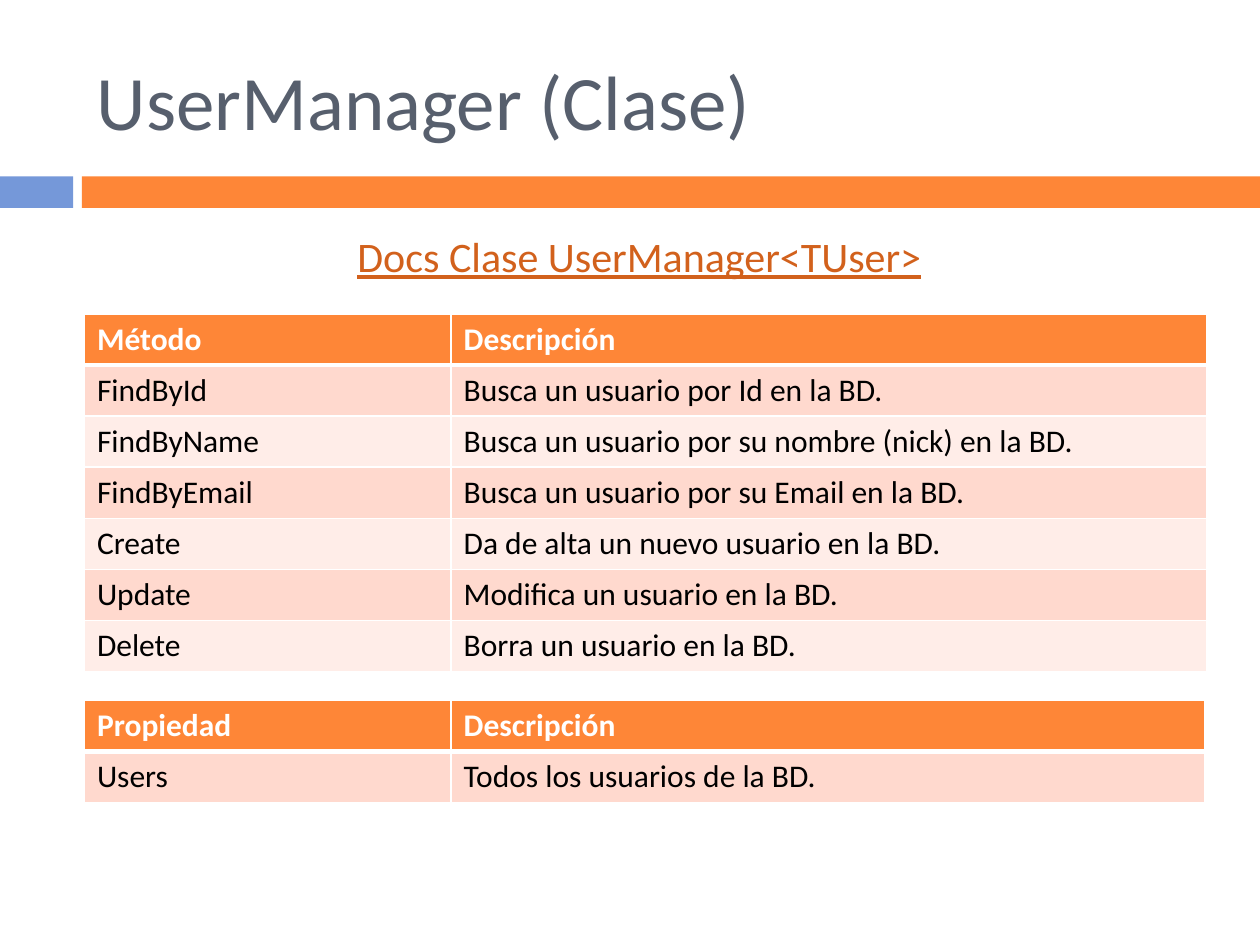
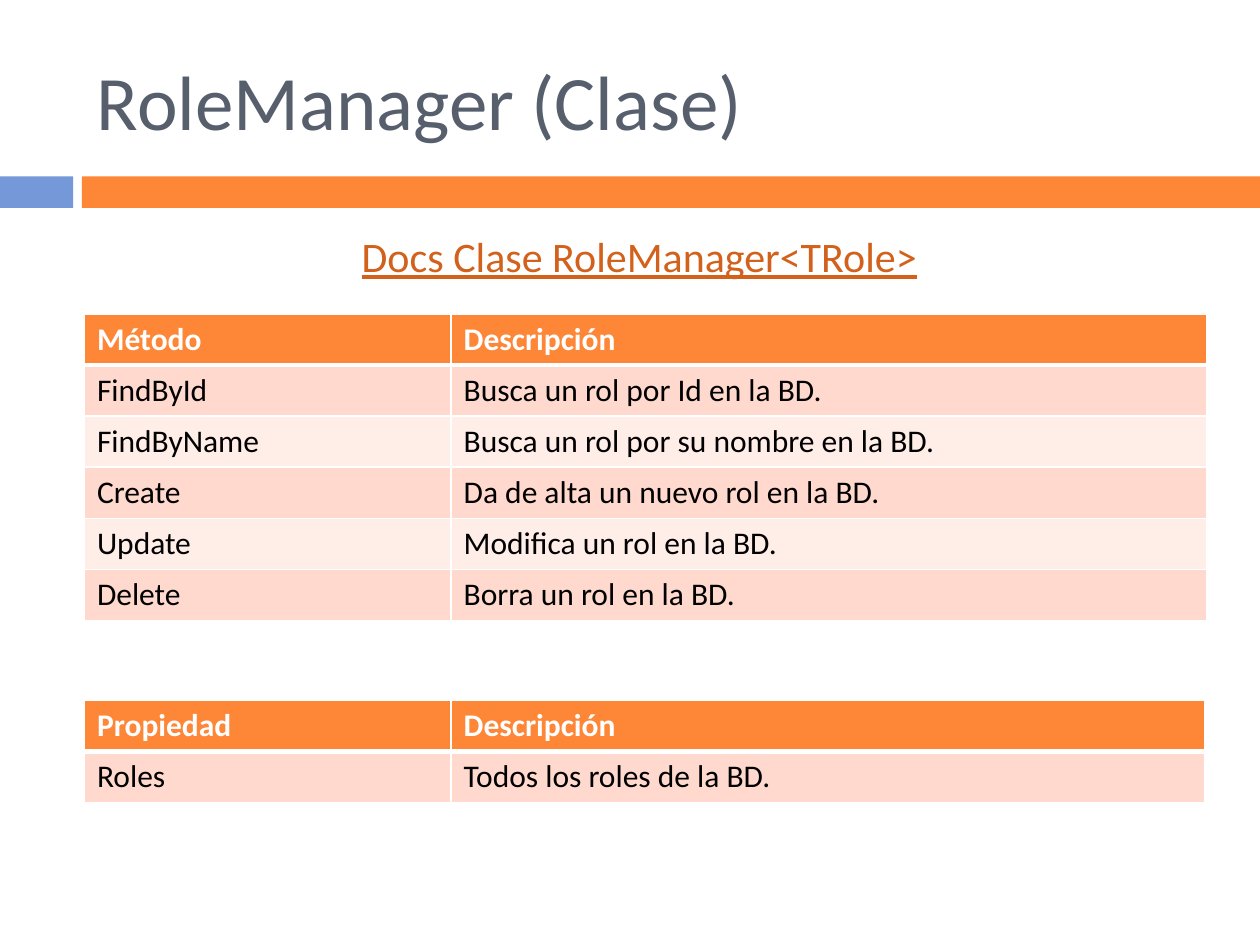
from lxml import etree
from pptx import Presentation
from pptx.dml.color import RGBColor
from pptx.enum.shapes import MSO_SHAPE
from pptx.enum.text import MSO_ANCHOR, PP_ALIGN
from pptx.oxml.ns import qn
from pptx.util import Inches, Pt

RECTANGLE = MSO_SHAPE.RECTANGLE
TOP, MIDDLE = MSO_ANCHOR.TOP, MSO_ANCHOR.MIDDLE
LEFT, CENTER = PP_ALIGN.LEFT, PP_ALIGN.CENTER

ORANGE = RGBColor(0xFE, 0x86, 0x37)
BLUE = RGBColor(0x75, 0x98, 0xD9)
SLATE = RGBColor(0x57, 0x5F, 0x6D)
RUST = RGBColor(0xD2, 0x61, 0x1C)
PEACH = RGBColor(0xFF, 0xD9, 0xCE)
BLUSH = RGBColor(0xFF, 0xED, 0xE8)
WHITE = RGBColor(0xFF, 0xFF, 0xFF)
BLACK = RGBColor(0x00, 0x00, 0x00)

FONT = "Calibri"
COLUMNS, ROWS = 100, 75
MARGIN = 6.7
NAME_WIDTH = 29.1
TABLE_ROW = 4.06


class Deck:
    """Holds the shared style and the slide being built."""

    def __init__(self):
        """Start an empty 4:3 presentation."""
        self.prs = Presentation()
        self.prs.slide_width, self.prs.slide_height = Inches(10), Inches(7.5)
        self.s = None

    def x(self, columns):
        """Turn grid columns into a length."""
        return round(self.prs.slide_width * columns / COLUMNS)

    def y(self, rows):
        """Turn grid rows into a length."""
        return round(self.prs.slide_height * rows / ROWS)

    def frame(self, left, top, width, height):
        """Turn a grid rectangle into slide lengths."""
        return self.x(left), self.y(top), self.x(width), self.y(height)

    def style(self, p, size, color, bold=False, underline=False):
        """Set the font of a paragraph."""
        p.font.name, p.font.size = FONT, Pt(size)
        p.font.bold, p.font.underline = bold, underline
        p.font.color.rgb = color

    def band(self, left, width, color):
        """Draw one part of the band under the title."""
        sp = self.s.shapes.add_shape(RECTANGLE, *self.frame(left, 14, width, 2.5))
        sp.shadow.inherit = False
        sp.fill.solid()
        sp.fill.fore_color.rgb = color
        sp.line.fill.background()

    def text(self, text, box, size, color, anchor=TOP, align=LEFT, underline=False):
        """Add a one-paragraph text box."""
        tf = self.s.shapes.add_textbox(*self.frame(*box)).text_frame
        tf.word_wrap = True
        tf.vertical_anchor = anchor
        p = tf.paragraphs[0]
        p.text, p.alignment = text, align
        self.style(p, size, color, underline=underline)

    def slide(self, title, heading):
        """Start a slide with its band, title and underlined heading."""
        self.s = self.prs.slides.add_slide(self.prs.slide_layouts[6])
        self.band(0, 5.8, BLUE)
        self.band(6.5, COLUMNS - 6.5, ORANGE)
        self.text(title, (MARGIN, 2.5, 89.2, 10.8), 44, SLATE, anchor=MIDDLE)
        self.text(heading, (5.1, 17.8, 91.3, 8.1), 24, RUST, align=CENTER,
                  underline=True)

    def borders(self, cell, top, bottom):
        """Give a cell white borders; top and bottom are widths in points."""
        tc_pr = cell._tc.get_or_add_tcPr()
        for side, width in (("L", 1), ("R", 1), ("T", top), ("B", bottom)):
            ln = etree.SubElement(tc_pr, qn(f"a:ln{side}"), w=str(Pt(width)))
            fill = etree.SubElement(ln, qn("a:solidFill"))
            etree.SubElement(fill, qn("a:srgbClr"), val=str(WHITE))

    def table(self, top, width, label, entries):
        """Add a two-column table with a header and striped rows."""
        rows = [(label, "Descripción"), *entries]
        box = self.frame(MARGIN, top, width, TABLE_ROW * len(rows))
        table = self.s.shapes.add_table(len(rows), 2, *box).table
        table.columns[0].width = self.x(NAME_WIDTH)
        table.columns[1].width = self.x(width - NAME_WIDTH)
        for i, row in enumerate(rows):
            table.rows[i].height = self.y(TABLE_ROW)
            header = i == 0
            fill = ORANGE if header else PEACH if i % 2 else BLUSH
            for j, value in enumerate(row):
                cell = table.cell(i, j)
                self.borders(cell, 3 if i == 1 else 1, 3 if header else 1)
                cell.fill.solid()
                cell.fill.fore_color.rgb = fill
                p = cell.text_frame.paragraphs[0]
                p.text = value
                self.style(p, 18, WHITE if header else BLACK, bold=header)

    def manager(self, name, type_name, methods, prop):
        """Build the slide of one manager class."""
        self.slide(f"{name} (Clase)", f"Docs Clase {name}<{type_name}>")
        self.table(24.9, 89.1, "Método", methods)
        self.table(55.6, 88.9, "Propiedad", [prop])


deck = Deck()
deck.manager("UserManager", "TUser", [
    ("FindById", "Busca un usuario por Id en la BD."),
    ("FindByName", "Busca un usuario por su nombre (nick) en la BD."),
    ("FindByEmail", "Busca un usuario por su Email en la BD."),
    ("Create", "Da de alta un nuevo usuario en la BD."),
    ("Update", "Modifica un usuario en la BD."),
    ("Delete", "Borra un usuario en la BD."),
], ("Users", "Todos los usuarios de la BD."))
deck.manager("RoleManager", "TRole", [
    ("FindById", "Busca un rol por Id en la BD."),
    ("FindByName", "Busca un rol por su nombre en la BD."),
    ("Create", "Da de alta un nuevo rol en la BD."),
    ("Update", "Modifica un rol en la BD."),
    ("Delete", "Borra un rol en la BD."),
], ("Roles", "Todos los roles de la BD."))
deck.prs.save("out.pptx")
